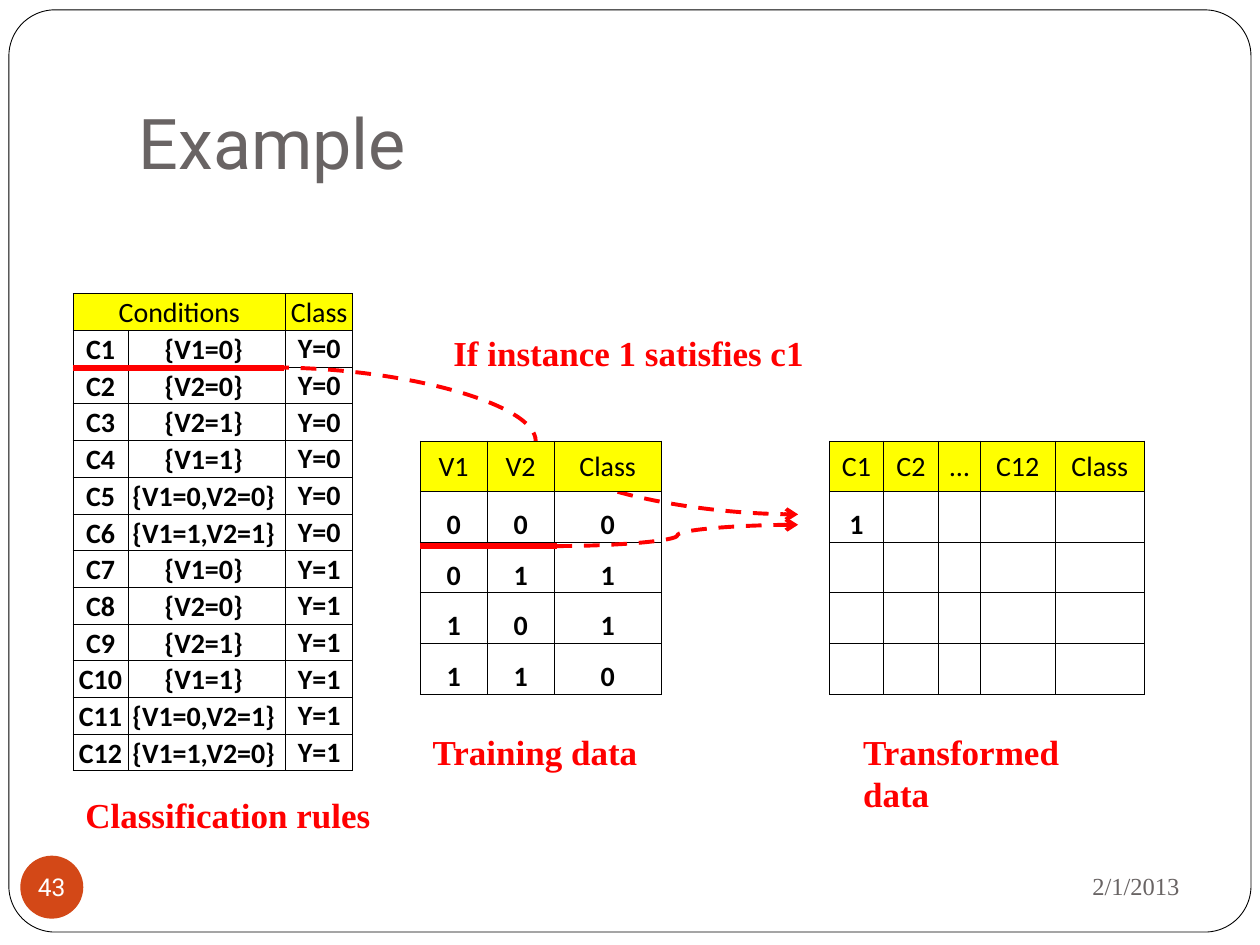
"""Build the slide on turning training data into rule features."""
from lxml import etree
from pptx import Presentation
from pptx import util as u
from pptx.dml.color import RGBColor
from pptx.enum import dml, shapes, text
from pptx.oxml import parse_xml
from pptx.oxml.ns import nsdecls, qn

RED, YELLOW, GREY, BLACK, WHITE = "FF0000", "FFFF00", "696464", "000000", "FFFFFF"
SERIF = "Times New Roman"
CENTER = text.PP_ALIGN.CENTER
MIDDLE, BOTTOM = text.MSO_ANCHOR.MIDDLE, text.MSO_ANCHOR.BOTTOM


def rgb(code):
    """Turn a hex string into a colour."""
    return RGBColor.from_string(code)


def style(p, size, name, color, bold=False, align=None):
    """Format one paragraph."""
    p.font.size, p.font.name, p.font.bold = u.Pt(size), name, bold
    p.font.color.rgb = rgb(color)
    p.alignment = align


def add_label(s, words, x, y, w, h=1.11, size=20, color=RED, bold=True,
              align=None, anchor=text.MSO_ANCHOR.TOP):
    """Add a wrapped serif text box."""
    tf = s.shapes.add_textbox(u.Cm(x), u.Cm(y), u.Cm(w), u.Cm(h)).text_frame
    tf.word_wrap, tf.vertical_anchor = True, anchor
    tf.text = words
    style(tf.paragraphs[0], size, SERIF, color, bold, align)


def add_title(s, words):
    """Fill and place the title placeholder."""
    sp = s.shapes.title
    sp.left, sp.top, sp.width, sp.height = u.Cm(2.54), u.Cm(0.76), u.Cm(21.59), u.Cm(3.18)
    tf = sp.text_frame
    tf.text, tf.vertical_anchor, tf.margin_bottom = words, BOTTOM, u.Cm(0.25)
    style(tf.paragraphs[0], 40, "Roboto", GREY, align=text.PP_ALIGN.LEFT)


def add_shape(s, kind, x, y, w, h, fill):
    """Add a filled shape without shadow or outline."""
    sp = s.shapes.add_shape(kind, u.Cm(x), u.Cm(y), u.Cm(w), u.Cm(h))
    sp.shadow.inherit = False
    sp.fill.solid()
    sp.fill.fore_color.rgb = rgb(fill)
    sp.line.fill.background()
    return sp


def add_frame(s):
    """Add the rounded slide border behind everything else."""
    sp = add_shape(s, shapes.MSO_SHAPE.ROUNDED_RECTANGLE, 0.18, 0.2, 25.04, 18.59, WHITE)
    sp.adjustments[0] = 0.05
    sp.line.color.rgb, sp.line.width = rgb(BLACK), u.Pt(0.5)
    s.shapes._spTree.insert(2, sp._element)


def add_number(s, words):
    """Add the slide number in its disc."""
    tf = add_shape(s, shapes.MSO_SHAPE.OVAL, 0.41, 17.25, 1.27, 1.27, "D34817").text_frame
    tf.margin_left = tf.margin_right = tf.margin_top = tf.margin_bottom = 0
    tf.word_wrap, tf.vertical_anchor = False, MIDDLE
    tf.text = words
    style(tf.paragraphs[0], 14, "Roboto", WHITE, align=CENTER)


def add_line(s, x1, y1, x2, y2, curved=False):
    """Add a solid red rule, or a dashed curved arrow."""
    kind = shapes.MSO_CONNECTOR.CURVE if curved else shapes.MSO_CONNECTOR.STRAIGHT
    sp = s.shapes.add_connector(kind, u.Cm(x1), u.Cm(y1), u.Cm(x2), u.Cm(y2))
    sp.line.color.rgb, sp.line.width = rgb(RED), u.Pt(2.25 if curved else 3.5)
    if curved:
        sp.line.dash_style = dml.MSO_LINE.DASH
        etree.SubElement(sp.line._get_or_add_ln(), qn("a:tailEnd"), type="arrow")
    etree.SubElement(sp._element.spPr, qn("a:effectLst"))


def add_borders(cell):
    """Give a cell thin black borders on every side."""
    for i, side in enumerate("LRTB"):
        cell._tc.get_or_add_tcPr().insert(i, parse_xml(
            f'<a:ln{side} {nsdecls("a")} w="6350"><a:solidFill>'
            f'<a:srgbClr val="{BLACK}"/></a:solidFill></a:ln{side}>'))


def add_grid(s, x, y, widths, height, rows, middle_cols=()):
    """Add a table with a yellow header row and return it."""
    table = s.shapes.add_table(len(rows), len(widths), u.Cm(x), u.Cm(y),
                               u.Cm(sum(widths)), u.Cm(height * len(rows))).table
    table.horz_banding = table.first_row = False
    for column, width in zip(table.columns, widths):
        column.width = u.Cm(width)
    for r, values in enumerate(rows):
        table.rows[r].height = u.Cm(height)
        for c, value in enumerate(values):
            cell = table.cell(r, c)
            cell.margin_left = cell.margin_right = cell.margin_top = u.Cm(0.02)
            cell.margin_bottom = 0
            cell.vertical_anchor = MIDDLE if r == 0 or c in middle_cols else BOTTOM
            cell.text = value
            style(cell.text_frame.paragraphs[0], 16, "Calibri", BLACK, r > 0, CENTER)
            if r == 0:
                cell.fill.solid()
                cell.fill.fore_color.rgb = rgb(YELLOW)
            else:
                cell.fill.background()
            add_borders(cell)
    return table


def add_rules(s):
    """Add the table of classification rules."""
    conditions = ["V1=0", "V2=0", "V2=1", "V1=1", "V1=0,V2=0", "V1=1,V2=1",
                  "V1=0", "V2=0", "V2=1", "V1=1", "V1=0,V2=1", "V1=1,V2=0"]
    rows = [["Conditions", "", "Class"]]
    for n, condition in enumerate(conditions, 1):
        rows.append([f"C{n}", f"{{{condition}}} ", "Y=0" if n <= 6 else "Y=1"])
    table = add_grid(s, 1.47, 5.92, [1.11, 3.18, 1.35], 0.74, rows, middle_cols=(2,))
    table.cell(0, 0).merge(table.cell(0, 1))
    table.cell(0, 0).vertical_anchor = BOTTOM


def main():
    """Build and save the slide."""
    prs = Presentation()
    prs.slide_width, prs.slide_height = u.Cm(25.4), u.Cm(19.05)
    s = prs.slides.add_slide(prs.slide_layouts[5])
    add_frame(s)
    add_title(s, "Example")
    add_label(s, "2/1/2013", 17.15, 17.2, 6.88, 1.32, 14, GREY, False,
              text.PP_ALIGN.RIGHT, MIDDLE)
    add_number(s, "43")

    add_rules(s)
    add_line(s, 5.51, 7.41, 16.09, 10.37, curved=True)
    add_label(s, "If instance 1 satisfies c1", 8.89, 6.56, 8.89)
    samples = [[str(a), str(b), str(a ^ b)] for a in (0, 1) for b in (0, 1)]
    add_grid(s, 8.47, 8.89, [1.35, 1.35, 2.16], 1.02, [["V1", "V2", "Class"]] + samples)
    add_line(s, 11.22, 11.01, 16.09, 10.58, curved=True)
    add_line(s, 1.47, 7.41, 5.72, 7.41)
    add_line(s, 8.47, 11.01, 11.22, 11.01)
    features = [["C1", "C2", "…", "C12", "Class"], ["1"] + [""] * 4] + [[""] * 5] * 3
    add_grid(s, 16.72, 8.89, [1.09, 1.11, 0.84, 1.51, 1.8], 1.02, features)

    add_label(s, "Training data", 8.47, 14.61, 4.87)
    add_label(s, "Classification rules", 1.47, 15.88, 6.35)
    add_label(s, "Transformed data", 17.15, 14.61, 5.93)
    prs.save("out.pptx")


if __name__ == "__main__":
    main()
